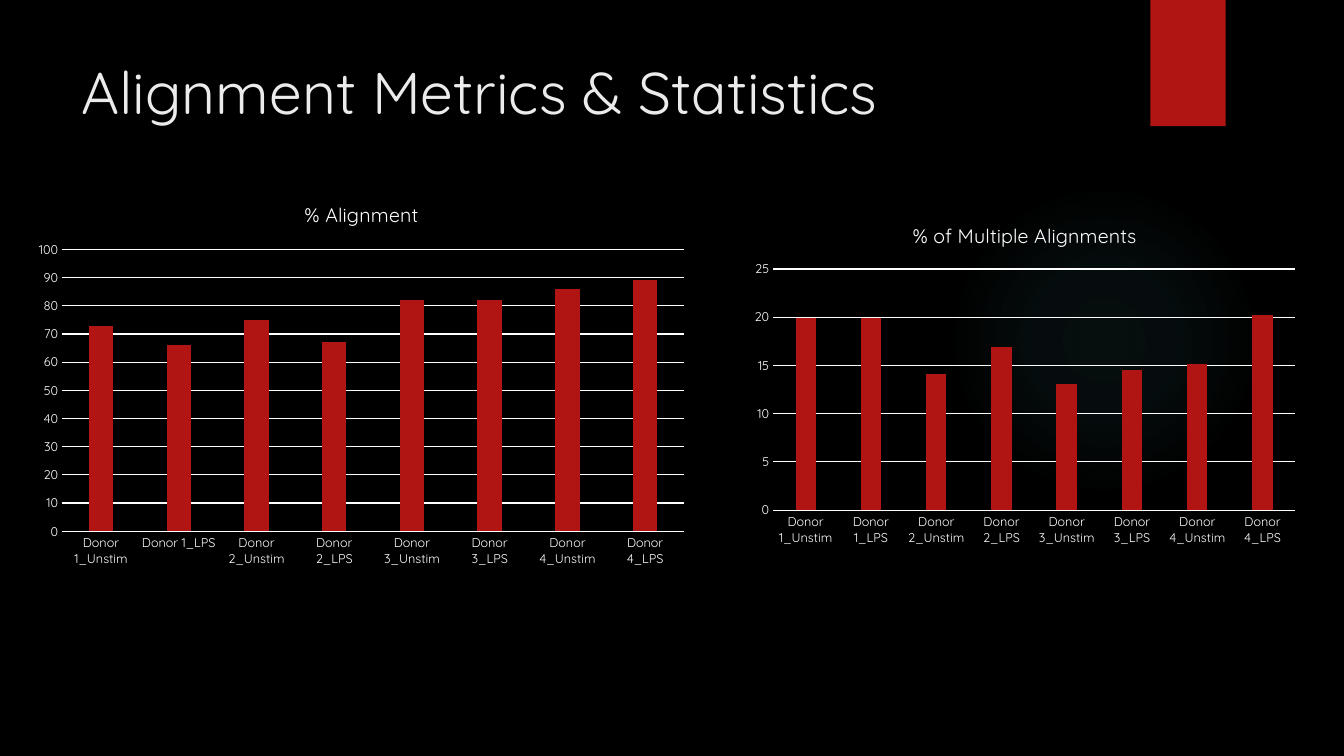
from pptx import Presentation
from pptx.chart.data import CategoryChartData
from pptx.dml.color import RGBColor
from pptx.enum.chart import XL_CHART_TYPE, XL_TICK_MARK
from pptx.enum.shapes import MSO_SHAPE
from pptx.enum.text import MSO_ANCHOR, PP_ALIGN
from pptx.oxml import parse_xml
from pptx.oxml.ns import nsdecls, qn
from pptx.util import Inches, Pt

WIDTH, HEIGHT = 13.33, 7.5
FONT = "Quicksand"
BLACK = RGBColor(0x00, 0x00, 0x00)
WHITE = RGBColor(0xFF, 0xFF, 0xFF)
OFF_WHITE = RGBColor(0xEB, 0xEB, 0xEB)
RED = RGBColor(0xB0, 0x15, 0x13)
TEAL = RGBColor(0x50, 0xB9, 0xC1)

SAMPLES = [f"Donor {donor}_{treatment}"
           for donor in range(1, 5) for treatment in ("Unstim", "LPS")]
ALIGNMENT = [73, 66, 75, 67, 82, 82, 86, 89]
MULTIPLE = [19.9, 19.9, 14.1, 16.9, 13.1, 14.5, 15.1, 20.2]


def box(left, top, width, height):
    """Turn shares of the slide's size into lengths."""
    return (Inches(WIDTH * left), Inches(HEIGHT * top),
            Inches(WIDTH * width), Inches(HEIGHT * height))


def style_font(font, size, color):
    font.name = FONT
    font.size = Pt(size)
    font.bold = False
    font.color.rgb = color


def add_plain_shape(s, kind, place):
    sp = s.shapes.add_shape(kind, *place)
    sp.shadow.inherit = False
    sp.line.fill.background()
    return sp


def add_glow(s, place):
    sp = add_plain_shape(s, MSO_SHAPE.OVAL, place)
    stops = "".join(
        f'<a:gs pos="{pos * 1000}"><a:srgbClr val="{TEAL}">'
        f'<a:alpha val="{alpha * 1000}"/></a:srgbClr></a:gs>'
        for pos, alpha in ((0, 7), (36, 6), (69, 0)))
    gradient = parse_xml(
        f'<a:gradFill {nsdecls("a")}><a:gsLst>{stops}</a:gsLst>'
        '<a:path path="circle"><a:fillToRect l="50000" t="50000" '
        'r="50000" b="50000"/></a:path></a:gradFill>')
    sp.element.spPr.find(qn("a:prstGeom")).addnext(gradient)


def add_ribbon(s, place):
    sp = add_plain_shape(s, MSO_SHAPE.RECTANGLE, place)
    sp.fill.solid()
    sp.fill.fore_color.rgb = RED


def set_title(s, text, place):
    title = s.shapes.title
    title.left, title.top, title.width, title.height = place
    tf = title.text_frame
    tf.text = text
    tf.vertical_anchor = MSO_ANCHOR.TOP
    p = tf.paragraphs[0]
    p.alignment = PP_ALIGN.LEFT
    style_font(p.runs[0].font, 42, OFF_WHITE)


def style_line(line):
    line.color.rgb = WHITE
    line.width = Pt(0.75)


def add_column_chart(s, name, values, top_value, step, place):
    data = CategoryChartData()
    data.categories = SAMPLES
    data.add_series(name, values)
    chart = s.shapes.add_chart(
        XL_CHART_TYPE.COLUMN_CLUSTERED, *place, data).chart
    style_font(chart.font, 10, WHITE)
    chart.has_legend = False

    # Chart title
    chart.has_title = True
    tf = chart.chart_title.text_frame
    tf.text = name
    style_font(tf.paragraphs[0].runs[0].font, 14, WHITE)
    chart.chart_title.include_in_layout = False

    # Columns
    plot = chart.plots[0]
    plot.vary_by_categories = False
    plot.gap_width = 219
    plot.overlap = -27
    fill = plot.series[0].format.fill
    fill.solid()
    fill.fore_color.rgb = RED

    # Axes
    for axis in (chart.category_axis, chart.value_axis):
        axis.major_tick_mark = axis.minor_tick_mark = XL_TICK_MARK.NONE
        style_font(axis.tick_labels.font, 9, WHITE)
    style_line(chart.category_axis.format.line)
    value_axis = chart.value_axis
    value_axis.minimum_scale = 0
    value_axis.maximum_scale = top_value
    value_axis.major_unit = step
    value_axis.format.line.fill.background()
    value_axis.has_major_gridlines = True
    style_line(value_axis.major_gridlines.format.line)


def main():
    prs = Presentation()
    prs.slide_width, prs.slide_height = Inches(WIDTH), Inches(HEIGHT)
    s = prs.slides.add_slide(prs.slide_layouts.get_by_name("Title Only"))

    # Backdrop
    s.background.fill.solid()
    s.background.fill.fore_color.rgb = BLACK
    add_glow(s, box(0.706, 0.244, 0.231, 0.411))
    add_ribbon(s, box(0.856, 0, 0.056, 0.167))

    # Title
    set_title(s, "Alignment Metrics & Statistics",
              box(0.053, 0.067, 0.772, 0.204))

    # Charts
    add_column_chart(s, "% Alignment", ALIGNMENT, 100, 10,
                     box(0.019, 0.243, 0.5, 0.517))
    add_column_chart(s, "% of Multiple Alignments", MULTIPLE, 25, 5,
                     box(0.553, 0.271, 0.419, 0.46))

    prs.save("out.pptx")


if __name__ == "__main__":
    main()
